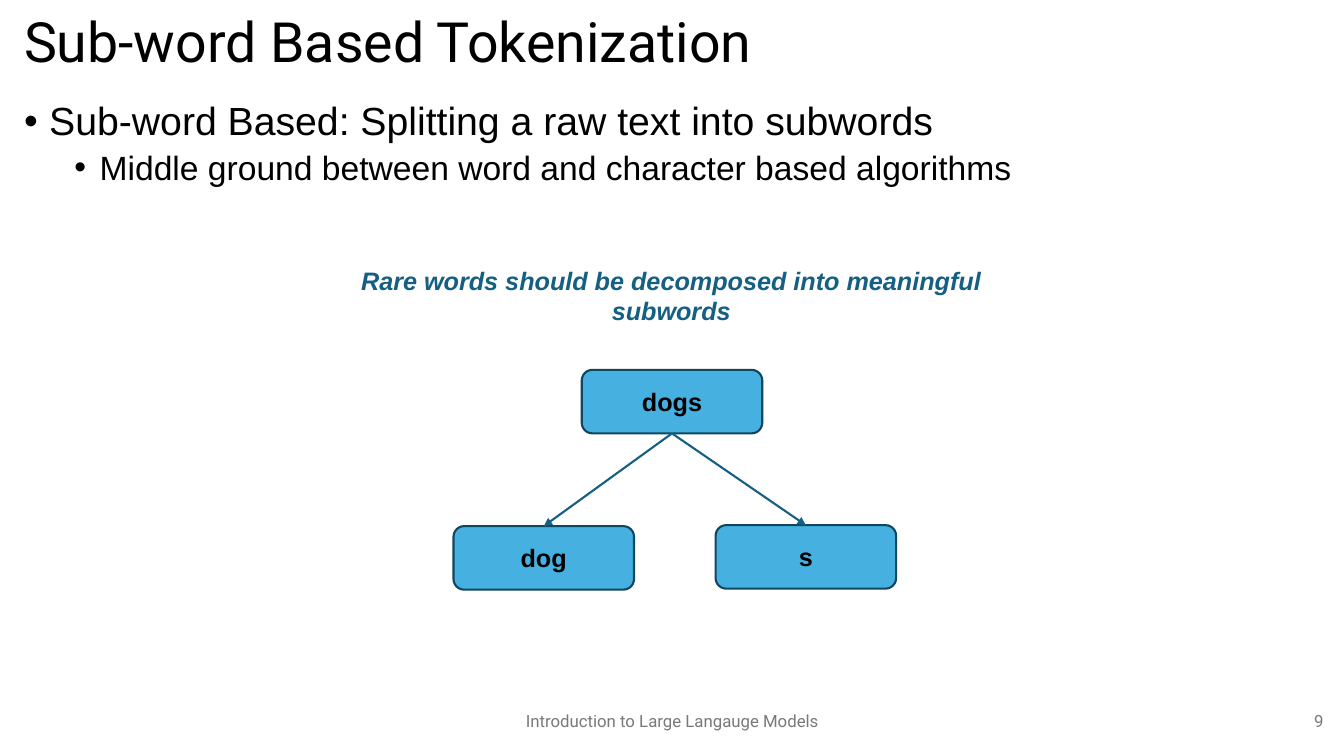
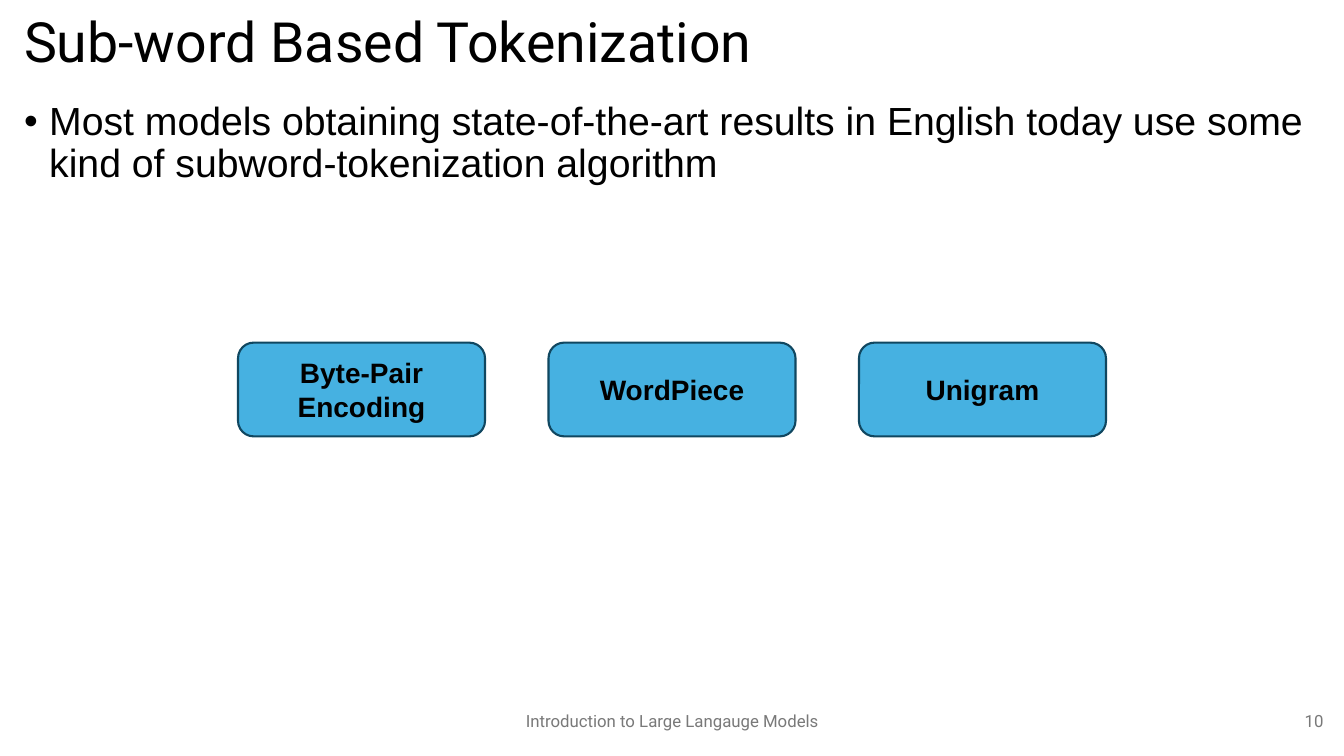
from dataclasses import dataclass

from lxml.etree import SubElement
from pptx import Presentation
from pptx.dml.color import RGBColor
from pptx.enum.shapes import MSO_CONNECTOR, MSO_SHAPE
from pptx.enum.text import MSO_ANCHOR, PP_ALIGN
from pptx.oxml.ns import qn
from pptx.shapes.autoshape import Shape
from pptx.slide import Slide
from pptx.text.text import TextFrame
from pptx.util import Inches, Pt

SLIDE_WIDTH = Inches(13.33)
SLIDE_HEIGHT = Inches(7.5)
HEADING_FONT = "Roboto"
BODY_FONT = "Arial"
BLACK = "000000"
GREY = "797979"
SKY = "46B1E1"
NAVY = "104760"
TEAL = "156082"
LINE_WIDTH = Pt(1.5)
FIRST_NUMBER = 9
BOTTOM_SITE, TOP_SITE = 2, 0


@dataclass(frozen=True)
class Area:
    """Percent shares of the slide's width and height."""

    left: float
    top: float
    width: float
    height: float

    def lengths(self) -> tuple[int, int, int, int]:
        return (
            round(SLIDE_WIDTH * self.left / 100),
            round(SLIDE_HEIGHT * self.top / 100),
            round(SLIDE_WIDTH * self.width / 100),
            round(SLIDE_HEIGHT * self.height / 100),
        )


@dataclass(frozen=True)
class Bullet:
    text: str
    level: int = 0


@dataclass(frozen=True)
class Tile:
    text: str
    center: float
    top: float
    width: float = 13.43
    height: float = 8.4
    size: float = 18

    def area(self) -> Area:
        return Area(self.center - self.width / 2, self.top, self.width, self.height)


TITLE_AREA = Area(1.05, 1.2, 97.88, 9.33)
BODY_AREA = Area(1.05, 12.8, 97.88, 79.87)
FOOTER_AREA = Area(33.15, 92.67, 33.75, 5.33)
NUMBER_AREA = Area(76.72, 92.67, 22.5, 5.33)
CAPTION_AREA = Area(25.8, 34.4, 48.3, 9.47)
BULLET_SIZES = (28, 24)

WORD_TILE = Tile("dogs", 50, 48.93)
SUBWORD_TILES = (Tile("dog", 40.46, 69.6), Tile("s", 59.96, 69.47))
ALGORITHMS = ("Byte-Pair Encoding", "WordPiece", "Unigram")
ALGORITHM_WIDTH = 18.38
ALGORITHM_PITCH = 23.1


def color(value: str) -> RGBColor:
    return RGBColor.from_string(value)


def write(
    frame: TextFrame,
    text: str,
    *,
    size: float,
    font: str = BODY_FONT,
    fill: str = BLACK,
    align: PP_ALIGN = PP_ALIGN.LEFT,
    anchor: MSO_ANCHOR = MSO_ANCHOR.MIDDLE,
    spacing: float = 1.0,
    bold: bool = False,
    italic: bool = False,
) -> None:
    frame.word_wrap = True
    frame.vertical_anchor = anchor
    para = frame.paragraphs[0]
    if para.runs:
        para = frame.add_paragraph()
    para.alignment = align
    para.line_spacing = spacing
    span = para.add_run()
    span.text = text
    span.font.name = font
    span.font.size = Pt(size)
    span.font.bold = bold
    span.font.italic = italic
    span.font.color.rgb = color(fill)


def add_text_frame(page: Slide, area: Area) -> TextFrame:
    return page.shapes.add_textbox(*area.lengths()).text_frame


def add_bullets(page: Slide, bullets: list[Bullet]) -> None:
    frame = add_text_frame(page, BODY_AREA)
    for index, bullet in enumerate(bullets):
        write(frame, bullet.text, size=BULLET_SIZES[bullet.level],
              anchor=MSO_ANCHOR.TOP, spacing=0.9)
        para = frame.paragraphs[-1]
        para.level = bullet.level
        para.space_before = Pt(5 if index else 0)
        properties = para._p.get_or_add_pPr()
        properties.set("marL", str(Inches(0.25 + 0.5 * bullet.level)))
        properties.set("indent", str(Inches(-0.25)))
        SubElement(properties, qn("a:buFont")).set("typeface", BODY_FONT)
        SubElement(properties, qn("a:buChar")).set("char", "•")


def add_tile(page: Slide, tile: Tile) -> Shape:
    box = page.shapes.add_shape(MSO_SHAPE.ROUNDED_RECTANGLE, *tile.area().lengths())
    box.shadow.inherit = False
    box.fill.solid()
    box.fill.fore_color.rgb = color(SKY)
    box.line.color.rgb = color(NAVY)
    box.line.width = LINE_WIDTH
    write(box.text_frame, tile.text, size=tile.size, align=PP_ALIGN.CENTER, bold=True)
    return box


def add_arrow(page: Slide, parent: Shape, child: Shape) -> None:
    arrow = page.shapes.add_connector(MSO_CONNECTOR.STRAIGHT, 0, 0, 0, 0)
    arrow.begin_connect(parent, BOTTOM_SITE)
    arrow.end_connect(child, TOP_SITE)
    arrow.line.color.rgb = color(TEAL)
    arrow.line.width = LINE_WIDTH
    SubElement(arrow.line._get_or_add_ln(), qn("a:tailEnd")).set("type", "triangle")
    SubElement(arrow._element.spPr, qn("a:effectLst"))


def add_page(deck: Presentation, bullets: list[Bullet]) -> Slide:
    page = deck.slides.add_slide(deck.slide_layouts[6])
    number = FIRST_NUMBER + len(deck.slides) - 1
    write(add_text_frame(page, TITLE_AREA), "Sub-word Based Tokenization",
          size=39.6, font=HEADING_FONT, spacing=0.9)
    add_bullets(page, bullets)
    for area, text, align in (
        (FOOTER_AREA, "Introduction to Large Langauge Models", PP_ALIGN.CENTER),
        (NUMBER_AREA, str(number), PP_ALIGN.RIGHT),
    ):
        write(add_text_frame(page, area), text, size=12, font=HEADING_FONT,
              fill=GREY, align=align)
    return page


def build_splitting_page(deck: Presentation) -> None:
    page = add_page(deck, [
        Bullet("Sub-word Based: Splitting a raw text into subwords"),
        Bullet("Middle ground between word and character based algorithms", 1),
    ])
    word = add_tile(page, WORD_TILE)
    subwords = [add_tile(page, tile) for tile in SUBWORD_TILES]
    for subword in subwords:
        add_arrow(page, word, subword)
    write(add_text_frame(page, CAPTION_AREA),
          "Rare words should be decomposed into meaningful subwords",
          size=18, fill=TEAL, align=PP_ALIGN.CENTER, anchor=MSO_ANCHOR.TOP,
          bold=True, italic=True)


def build_algorithms_page(deck: Presentation) -> None:
    page = add_page(deck, [
        Bullet("Most models obtaining state-of-the-art results in English today "
               "use some kind of subword-tokenization algorithm"),
    ])
    middle = (len(ALGORITHMS) - 1) / 2
    for index, name in enumerate(ALGORITHMS):
        center = 50 + (index - middle) * ALGORITHM_PITCH
        add_tile(page, Tile(name, center, 45.33, ALGORITHM_WIDTH, 12.4, 20))


def main() -> None:
    deck = Presentation()
    deck.slide_width = SLIDE_WIDTH
    deck.slide_height = SLIDE_HEIGHT
    build_splitting_page(deck)
    build_algorithms_page(deck)
    deck.save("out.pptx")


if __name__ == "__main__":
    main()
